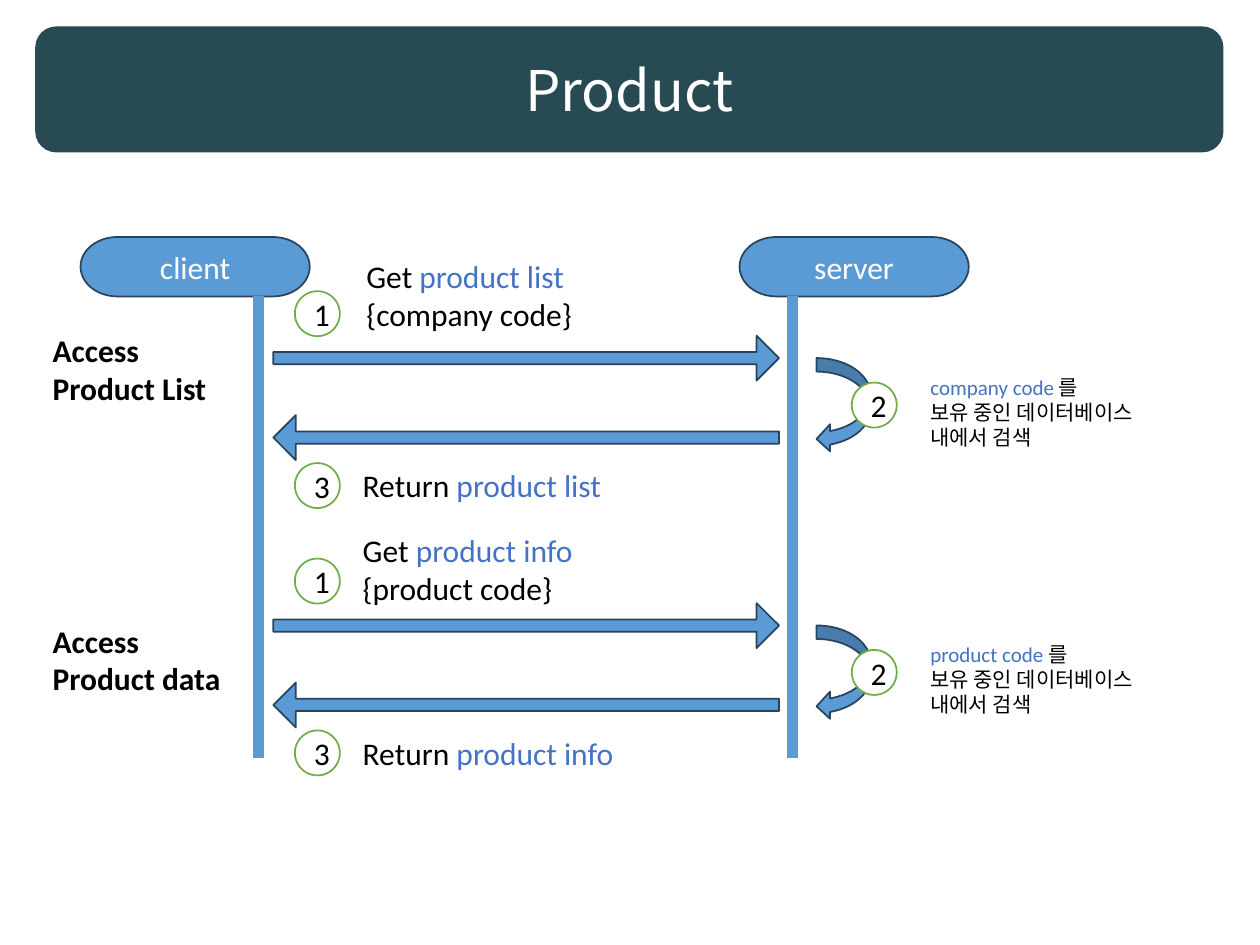
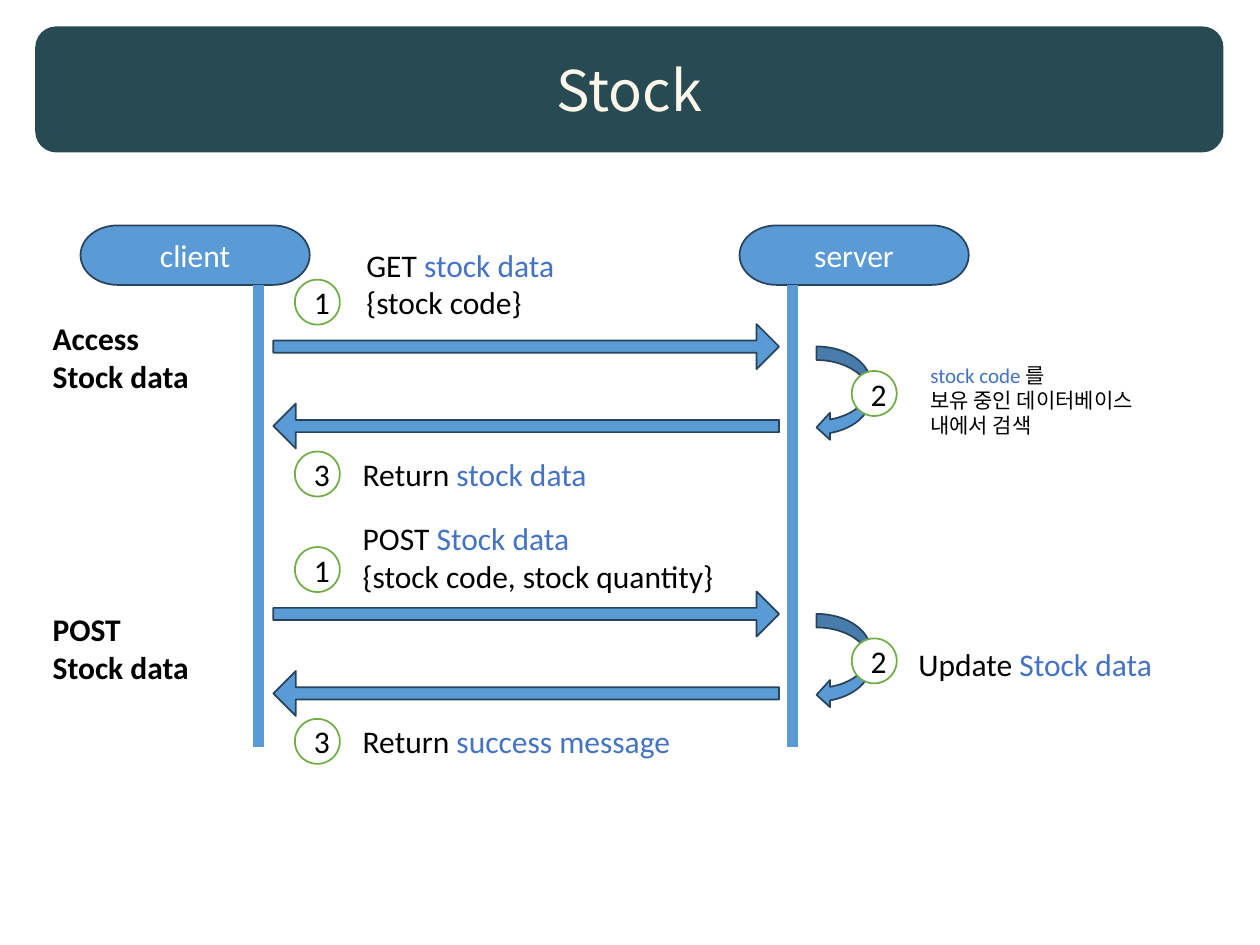
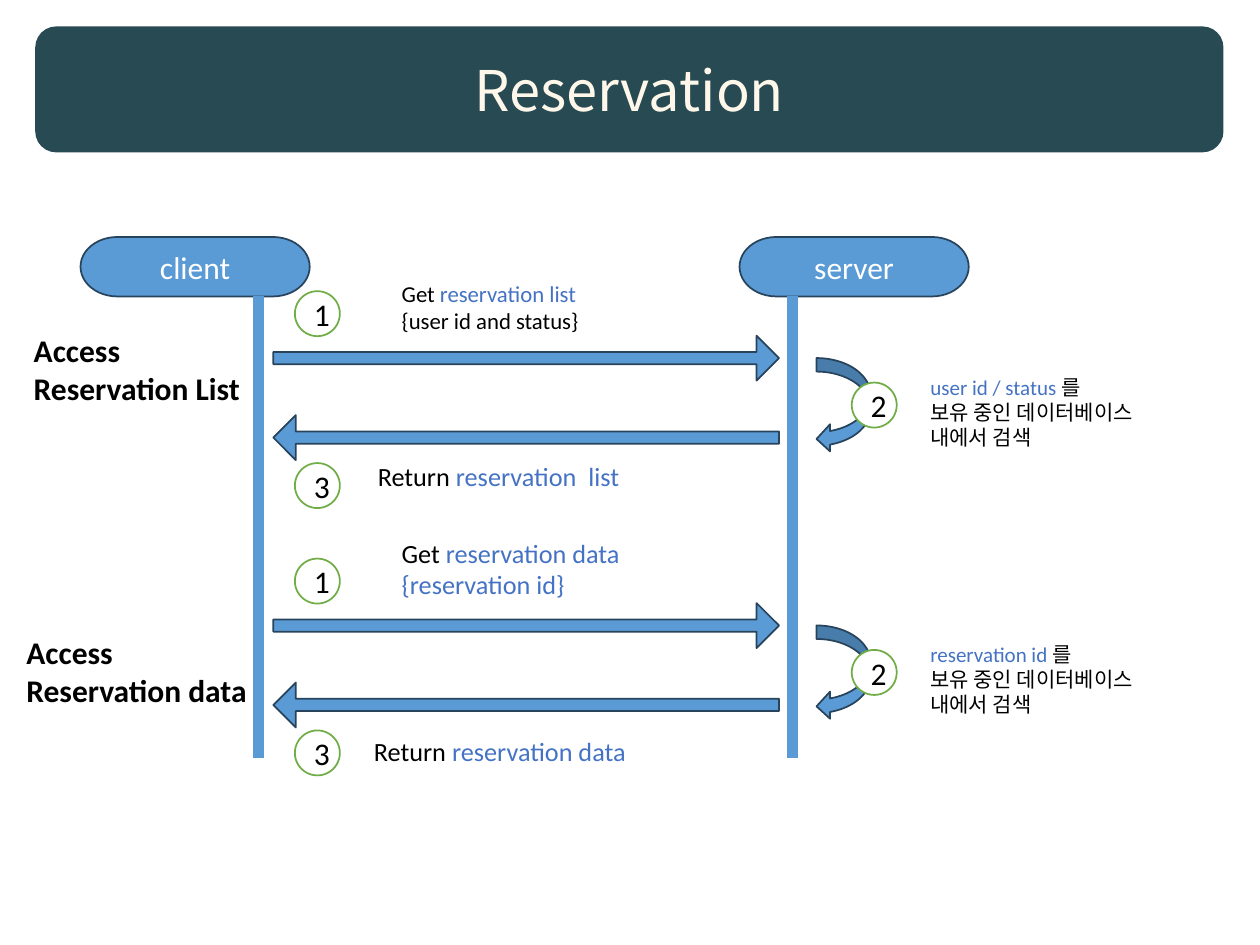
from dataclasses import dataclass

from pptx import Presentation
from pptx.dml.color import RGBColor
from pptx.enum.shapes import MSO_CONNECTOR, MSO_SHAPE
from pptx.enum.text import MSO_ANCHOR, PP_ALIGN
from pptx.oxml.ns import qn
from pptx.util import Pt
from lxml.etree import SubElement

COLORS = {
    "band": "284B53",
    "white": "FFFFFF",
    "cream": "FFF7EA",
    "blue": "5B9BD5",
    "outline": "28445D",
    "green": "70AD47",
    "accent": "4472C4",
    "black": "000000",
}
BODY_FONT = "Calibri"
TITLE_FONT = "Noto Sans CJK KR"

BAND = (20.16, 15.12, 679, 72)
DIAGRAM_LEFT = 46
LANE_STEP = 376.6       # from client to server
EXCHANGE_TOP = 31       # below the top of the diagram
EXCHANGE_STEP = 152.8   # from the first exchange to the second
SEARCH = "를\n보유 중인 데이터베이스\n내에서 검색"


@dataclass
class Label:
    """Text placed from the diagram's left and the exchange's top; "|" switches the accent."""
    text: str
    left: float
    top: float
    width: float
    size: float = 18
    bold: bool = False


def phase(text, left=-23, top=19.2):
    return Label(text, left, top, 148, bold=True)


def request(text, left=154.2, top=-19.4, size=18):
    return Label(text, left, top, 238, size)


def note(code):
    return Label(f"|{code} |{SEARCH}", 478.6, 43.8, 150, 12)


def reply(text, left=154.2, top=96.5, size=18):
    return Label(text, left, top, 238, size)


# Title, title colour, top of the diagram, labels of each exchange
SLIDES = [
    ("Product", "white", 135.4, [
        [phase("Access\nProduct List"),
         request("Get |product list|\n{company code}", 156.3, -23),
         note("company code"),
         reply("Return| product list")],
        [phase("Access\nProduct data", top=32.4),
         request("Get |product info|\n{product code}"),
         note("product code"),
         reply("Return| product info")],
    ]),
    ("Stock", "cream", 128.8, [
        [phase("Access\nStock data"),
         request("GET |stock data|\n{stock code}", 156.3, -23),
         note("stock code"),
         reply("Return| stock data")],
        [phase("POST\nStock data", top=32.4),
         request("POST |Stock data|\n{stock code, stock quantity}"),
         Label("Update |Stock data", 471.7, 52.6, 160),
         reply("Return| success message")],
    ]),
    ("Reservation", "cream", 135.4, [
        [phase("Access\nReservation List", -33.8),
         request("Get |reservation list|\n{user id and status}", 176.5, -10, 13),
         note("user id / status"),
         reply("Return| reservation  list", 162.8, 92.9, 15)],
        [phase("Access\nReservation data", -38, 38.9),
         request("Get |reservation data\n{reservation id}", 176.5, -15.8, 15),
         note("reservation id"),
         reply("Return| reservation data", 160.6, 97.2, 15)],
    ]),
]


def color(name):
    return RGBColor.from_string(COLORS[name])


def format_span(span, size, color_name, font=BODY_FONT, bold=False):
    span.font.name = font
    span.font.size = Pt(size)
    span.font.bold = bold
    span.font.color.rgb = color(color_name)


def add_figure(page, kind, box, fill="blue", line="outline", text="", text_color="white"):
    """Add a filled preset shape with optional centred text."""
    shape = page.shapes.add_shape(kind, *map(Pt, box))
    shape.shadow.inherit = False
    shape.fill.solid()
    shape.fill.fore_color.rgb = color(fill)
    if line:
        shape.line.color.rgb = color(line)
        shape.line.width = Pt(1)
    else:
        shape.line.fill.background()
    if text:
        frame = shape.text_frame
        frame.text = text
        frame.vertical_anchor = MSO_ANCHOR.MIDDLE
        frame.paragraphs[0].alignment = PP_ALIGN.CENTER
        format_span(frame.paragraphs[0].runs[0], 18, text_color)
    return shape


def add_title(page, text, color_name):
    add_figure(page, MSO_SHAPE.ROUNDED_RECTANGLE, BAND, "band", None)
    title = page.shapes.title
    title.left, title.top, title.width, title.height = map(Pt, BAND)
    # Bring the title in front of the band
    page.shapes._spTree.append(title._element)
    frame = title.text_frame
    frame.text = text
    frame.vertical_anchor = MSO_ANCHOR.MIDDLE
    frame.paragraphs[0].alignment = PP_ALIGN.CENTER
    format_span(frame.paragraphs[0].runs[0], 32, color_name, TITLE_FONT)


def add_lane(page, left, top, name, line_offset):
    """Add a named terminator with its lifeline."""
    add_figure(page, MSO_SHAPE.FLOWCHART_TERMINATOR, (left, top, 131, 34), text=name)
    x = Pt(left + line_offset)
    lifeline = page.shapes.add_connector(
        MSO_CONNECTOR.STRAIGHT, x, Pt(top + 34), x, Pt(top + 298))
    lifeline.line.color.rgb = color("blue")
    lifeline.line.width = Pt(6)
    SubElement(lifeline._element.spPr, qn("a:effectLst"))


def add_label(page, left, top, label):
    box = page.shapes.add_textbox(
        Pt(left + label.left), Pt(top + label.top), Pt(label.width),
        Pt(7.2 + 1.22 * label.size * (label.text.count("\n") + 1)))
    frame = box.text_frame
    frame.word_wrap = True
    para = frame.paragraphs[0]
    for index, part in enumerate(label.text.split("|")):
        color_name = "accent" if index % 2 else "black"
        for row, text in enumerate(part.split("\n")):
            if row:
                para = frame.add_paragraph()
            if text:
                span = para.add_run()
                span.text = text
                format_span(span, label.size, color_name, bold=label.bold)


def add_exchange(page, left, top, labels):
    """Add request and reply arrows, the server's loop, step numbers and labels."""
    for kind, offset in ((MSO_SHAPE.RIGHT_ARROW, 25.4), (MSO_SHAPE.LEFT_ARROW, 70.8)):
        arrow = add_figure(page, kind, (left + 110.2, top + offset, 289, 25.7))
        arrow.adjustments[0] = 0.272
        arrow.adjustments[1] = 0.5
    add_figure(page, MSO_SHAPE.CURVED_LEFT_ARROW, (left + 420.6, top + 38.2, 31, 54))
    steps = ((122.5, 0), (440.7, 52.2), (122.5, 98.2))
    for number, (x, y) in enumerate(steps, 1):
        add_figure(page, MSO_SHAPE.OVAL, (left + x, top + y, 25.7, 25.7),
                   "white", "green", str(number), "black")
    for label in labels:
        add_label(page, left, top, label)


def add_diagram(page, left, top, exchanges):
    add_lane(page, left, top, "client", 101.8)
    add_lane(page, left + LANE_STEP, top, "server", 30.3)
    for index, labels in enumerate(exchanges):
        add_exchange(page, left, top + EXCHANGE_TOP + index * EXCHANGE_STEP, labels)


def main():
    deck = Presentation()
    deck.slide_width, deck.slide_height = Pt(720), Pt(540)
    for title, title_color, top, exchanges in SLIDES:
        page = deck.slides.add_slide(deck.slide_layouts[5])
        add_title(page, title, title_color)
        add_diagram(page, DIAGRAM_LEFT, top, exchanges)
    deck.save("out.pptx")


if __name__ == "__main__":
    main()
